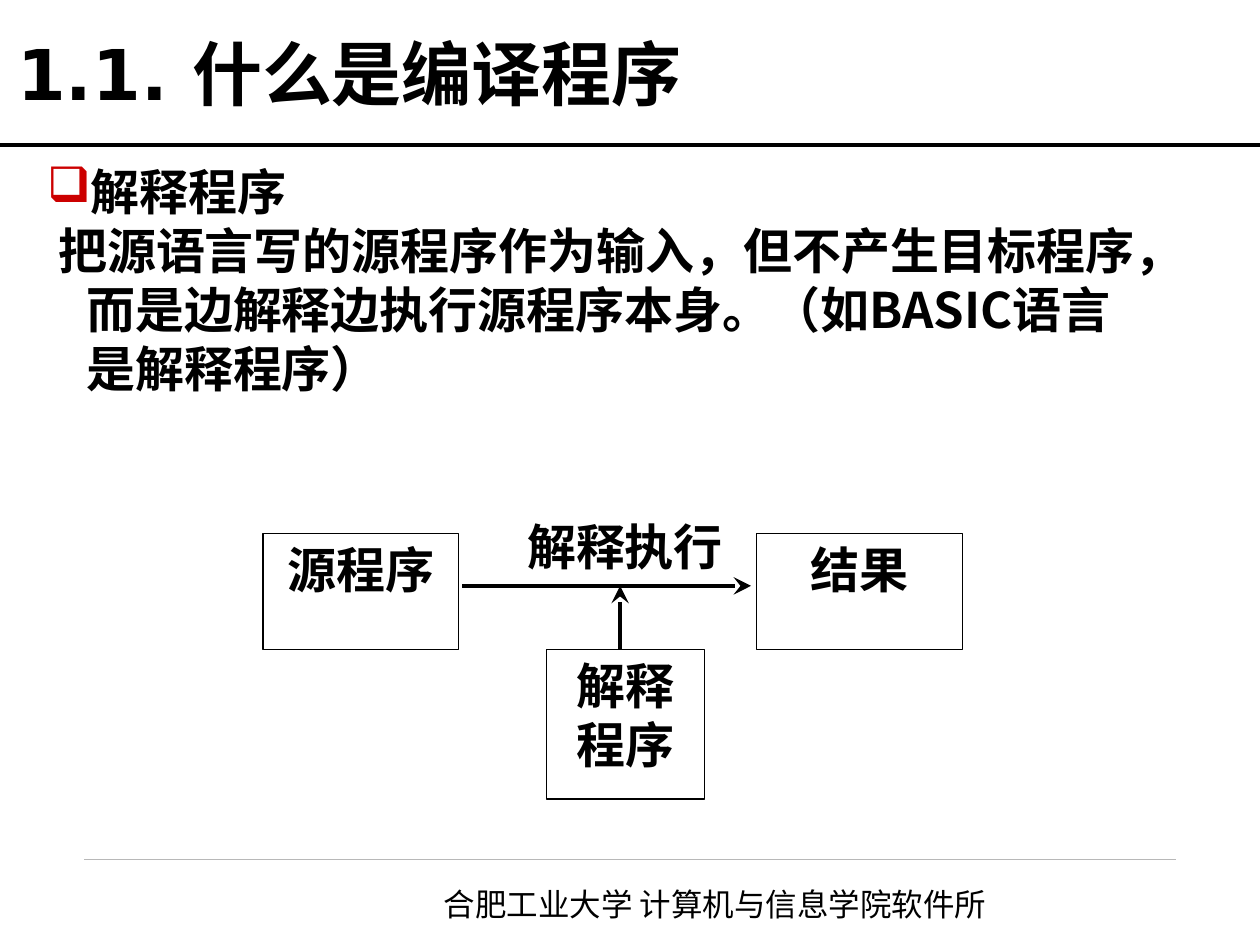
from lxml.etree import SubElement
from pptx import Presentation
from pptx.dml.color import RGBColor
from pptx.enum.shapes import MSO_CONNECTOR, MSO_SHAPE
from pptx.enum.text import MSO_ANCHOR, PP_ALIGN
from pptx.oxml.ns import qn
from pptx.util import Cm, Pt

CJK = "Noto Sans CJK SC"
BLACK, RED, GREY = "000000", "CC0000", "B8B8B8"
rgb = RGBColor.from_string


def write(par, text, size=28, bold=True, face=CJK):
    run = par.add_run()
    run.text = text
    font = run.font
    font.size, font.bold, font.name = Pt(size), bold, face
    font.color.rgb = rgb(BLACK)
    SubElement(font._element, qn("a:ea"), typeface=CJK)


def draw(x1, y1, x2, y2, width, color=BLACK, arrow=False):
    line = slide.shapes.add_connector(
        MSO_CONNECTOR.STRAIGHT, Cm(x1), Cm(y1), Cm(x2), Cm(y2))
    line.line.width = Pt(width)
    line.line.color.rgb = rgb(color)
    if arrow:
        SubElement(line.line._get_or_add_ln(), qn("a:tailEnd"),
                   type="stealth", w="lg", len="lg")
    SubElement(line._element.spPr, qn("a:effectLst"))


deck = Presentation()
deck.slide_width, deck.slide_height = Cm(25.4), Cm(19.05)
slide = deck.slides.add_slide(deck.slide_layouts[6])
shapes = slide.shapes

# Footer
draw(1.7, 17.32, 23.7, 17.32, 0.25, GREY)
foot = shapes.add_textbox(Cm(8.7), Cm(17.71), Cm(12.19), Cm(1.02)).text_frame
foot.word_wrap = True
write(foot.paragraphs[0], "合肥工业大学 计算机与信息学院软件所", 18, False)

# Title and rule
title = shapes.add_textbox(Cm(0.1), Cm(0.33), Cm(21.59), Cm(2.11)).text_frame
title.word_wrap = True
title.vertical_anchor = MSO_ANCHOR.BOTTOM
write(title.paragraphs[0], "1.1. 什么是编译程序", 40, face="DejaVu Sans")
draw(0, 2.92, 25.4, 2.92, 2.25)

# Body with a hanging indent
body = shapes.add_textbox(Cm(0.7), Cm(3.14), Cm(22.9), Cm(5)).text_frame
body.word_wrap = True
head, text = body.paragraphs[0], body.add_paragraph()
for par in (head, text):
    props = par._p.get_or_add_pPr()
    props.set("marL", str(Cm(0.79)))
    props.set("indent", str(-Cm(0.79)))
props = head._p.pPr
SubElement(SubElement(props, qn("a:buClr")), qn("a:srgbClr"), val=RED)
SubElement(props, qn("a:buFont"), typeface="OpenSymbol")
SubElement(props, qn("a:buChar"), char="❑")
SubElement(text._p.pPr, qn("a:buNone"))
write(head, "解释程序")
write(text, " 把源语言写的源程序作为输入，但不产生目标程序，"
            "而是边解释边执行源程序本身。（如BASIC语言是解释程序）")

# Boxes of the diagram
boxes = [
    (5.3, 10.75, 3.94, 2.34, ["源程序"], CJK),
    (15.25, 10.75, 4.15, 2.34, ["结果"], "Times New Roman"),
    (11.02, 13.09, 3.18, 3.02, ["解释", "程序"], CJK),
]
for x, y, w, h, lines, face in boxes:
    box = shapes.add_shape(MSO_SHAPE.RECTANGLE, Cm(x), Cm(y), Cm(w), Cm(h))
    box.shadow.inherit = False
    box.fill.background()
    box.line.color.rgb = rgb(BLACK)
    box.line.width = Pt(0.75)
    frame = box.text_frame
    frame.word_wrap = True
    frame.vertical_anchor = MSO_ANCHOR.TOP
    for i, line in enumerate(lines):
        par = frame.add_paragraph() if i else frame.paragraphs[0]
        par.alignment = PP_ALIGN.CENTER
        write(par, line, face=face)

# Arrows and their label
draw(9.32, 11.81, 15.14, 11.81, 2, arrow=True)
draw(12.5, 13.08, 12.5, 11.81, 2, arrow=True)
label = shapes.add_textbox(Cm(10.1), Cm(10.15), Cm(5), Cm(1.7)).text_frame
label.word_wrap = False
label.vertical_anchor = MSO_ANCHOR.MIDDLE
label.paragraphs[0].alignment = PP_ALIGN.CENTER
write(label.paragraphs[0], "解释执行", face="Times New Roman")

deck.save("out.pptx")
